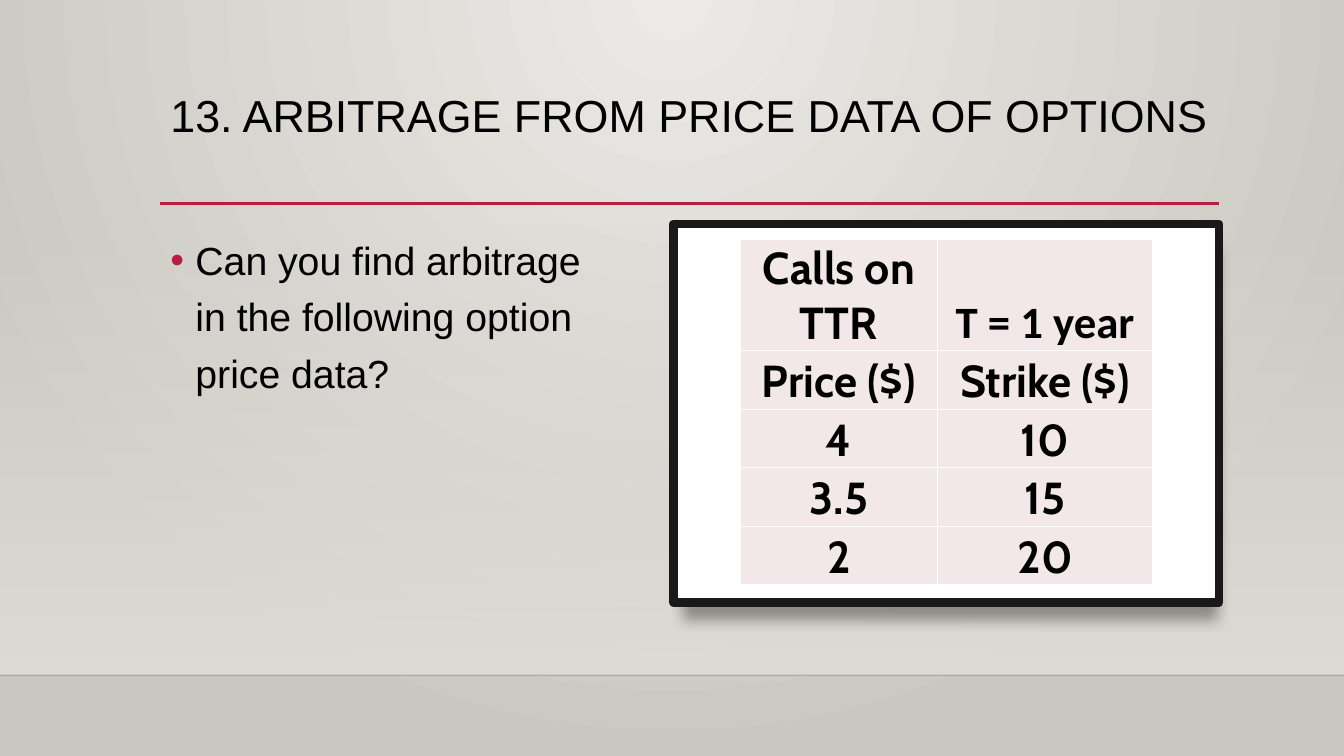
from lxml import etree
from pptx import Presentation
from pptx.dml.color import RGBColor
from pptx.enum import shapes, text
from pptx.oxml import ns
from pptx.util import Inches, Pt

BLACK = RGBColor(0x00, 0x00, 0x00)
WHITE = RGBColor(0xFF, 0xFF, 0xFF)
CRIMSON = RGBColor(0xB7, 0x1E, 0x42)
CHARCOAL = RGBColor(0x19, 0x19, 0x19)
PINK = RGBColor(0xF3, 0xE8, 0xE9)
SAND = RGBColor(0xDF, 0xDB, 0xD5)
LIGHT_STONE = RGBColor(0xEC, 0xEA, 0xE7)
DARK_STONE = RGBColor(0xCA, 0xC7, 0xC1)

OPTION_ROWS = [
    ("Calls on TTR", "T = 1 year"),
    ("Price ($)", "Strike ($)"),
    ("4", "10"),
    ("3.5", "15"),
    ("2", "20"),
]
COLUMN_WIDTHS = (1.96, 2.13)
ROW_HEIGHTS = (1.1, 0.58, 0.58, 0.58, 0.58)


def add_xml(parent, tag, **attributes):
    values = {name: str(value) for name, value in attributes.items()}
    return etree.SubElement(parent, ns.qn(tag), values)


def set_opacity(color_parent, percent):
    color = next(color_parent.iter(ns.qn("a:srgbClr")))
    add_xml(color, "a:alpha", val=percent * 1000)


def set_gradient(fill, start, end, angle=0):
    fill.gradient()
    fill.gradient_angle = angle
    for stop, color in zip(fill.gradient_stops, (start, end)):
        stop.color.rgb = color


def write_text(frame, content, font="Arial", size=32, bold=False,
               align=text.PP_ALIGN.LEFT, spacing=1.0, before=0):
    frame.word_wrap = True
    paragraph = frame.paragraphs[0]
    paragraph.alignment = align
    paragraph.line_spacing = spacing
    paragraph.space_before = Pt(before)
    run = paragraph.add_run()
    run.text = content
    run.font.name = font
    run.font.size = Pt(size)
    run.font.bold = bold
    run.font.color.rgb = BLACK
    return paragraph


def add_rectangle(slide, left, top, width, height):
    shape = slide.shapes.add_shape(
        shapes.MSO_SHAPE.RECTANGLE,
        Inches(left), Inches(top), Inches(width), Inches(height))
    shape.shadow.inherit = False
    shape.line.fill.background()
    return shape


def add_rule(slide, left, top, width, color, weight):
    rule = slide.shapes.add_connector(
        shapes.MSO_CONNECTOR.STRAIGHT,
        Inches(left), Inches(top), Inches(left + width), Inches(top))
    rule.line.color.rgb = color
    rule.line.width = Pt(weight)
    add_xml(rule._element.spPr, "a:effectLst")
    return rule


def add_backdrop(slide, width, wall_top, floor_top):
    set_gradient(slide.background.fill, LIGHT_STONE, DARK_STONE)
    gradient = next(slide.element.iter(ns.qn("a:gradFill")))
    gradient.remove(gradient.find(ns.qn("a:lin")))
    circle = add_xml(gradient, "a:path", path="circle")
    add_xml(circle, "a:fillToRect", l=43000, t=0, r=43000, b=100000)

    wall = add_rectangle(slide, 0, wall_top, width, floor_top - wall_top)
    set_gradient(wall.fill, SAND, SAND, angle=270)
    set_opacity(wall._element.spPr, 0)

    edge = add_rule(slide, 0, floor_top, width, BLACK, 1)
    set_opacity(edge._element.spPr, 20)


def add_title(slide, left, top, width, height):
    title = slide.shapes.title
    title.left, title.top = Inches(left), Inches(top)
    title.width, title.height = Inches(width), Inches(height)
    frame = title.text_frame
    frame.vertical_anchor = text.MSO_ANCHOR.TOP
    frame.auto_size = text.MSO_AUTO_SIZE.NONE
    write_text(frame, "13. ARBITRAGE FROM PRICE DATA OF OPTIONS", spacing=0.9)
    add_rule(slide, left, top + height - 0.01, width, CRIMSON, 2.5)


def add_question(slide, left, top, width, height):
    box = slide.shapes.add_textbox(
        Inches(left), Inches(top), Inches(width), Inches(height))
    paragraph = write_text(
        box.text_frame,
        "Can you find arbitrage in the following option price data?",
        size=28, spacing=1.2, before=10)
    properties = paragraph._p.get_or_add_pPr()
    properties.set("marL", str(Inches(0.25)))
    properties.set("indent", str(-Inches(0.25)))
    bullet_color = add_xml(properties, "a:buClr")
    add_xml(bullet_color, "a:srgbClr", val=CRIMSON)
    add_xml(properties, "a:buFont", typeface="Arial")
    add_xml(properties, "a:buChar", char="•")


def add_frame(slide, left, top, width, height):
    back = add_rectangle(slide, left, top, width, height)
    set_gradient(back.fill, BLACK, CHARCOAL)
    effects = back._element.spPr.find(ns.qn("a:effectLst"))
    shadow = add_xml(effects, "a:outerShdw", blurRad=Pt(10), dist=Pt(15),
                     dir=79 * 60000, sx=98000, sy=98000, algn="ctr",
                     rotWithShape=0)
    add_xml(shadow, "a:srgbClr", val=BLACK)
    set_opacity(shadow, 34)

    panel = add_rectangle(slide, left, top + 0.02, width, height - 0.02)
    panel.fill.solid()
    panel.fill.fore_color.rgb = WHITE
    panel.line.color.rgb = CHARCOAL
    panel.line.width = Pt(6)
    add_price_table(slide, left + 0.66, top + 0.18)


def format_cell(cell, content):
    cell.margin_left = cell.margin_right = cell.margin_top = Inches(0.01)
    cell.margin_bottom = 0
    cell.vertical_anchor = text.MSO_ANCHOR.BOTTOM
    font = "Calibri" if content == "T = 1 year" else "Cabin"
    write_text(cell.text_frame, content, font=font, bold=True,
               align=text.PP_ALIGN.CENTER)
    properties = cell._tc.get_or_add_tcPr()
    for side in "LRTB":
        border = add_xml(properties, f"a:ln{side}", w=Pt(1))
        border_fill = add_xml(border, "a:solidFill")
        add_xml(border_fill, "a:srgbClr", val=WHITE)
    cell.fill.solid()
    cell.fill.fore_color.rgb = PINK


def add_price_table(slide, left, top):
    table = slide.shapes.add_table(
        len(ROW_HEIGHTS), len(COLUMN_WIDTHS), Inches(left), Inches(top),
        Inches(sum(COLUMN_WIDTHS)), Inches(sum(ROW_HEIGHTS))).table
    for column, width in zip(table.columns, COLUMN_WIDTHS):
        column.width = Inches(width)
    for row, height, contents in zip(table.rows, ROW_HEIGHTS, OPTION_ROWS):
        row.height = Inches(height)
        for cell, content in zip(row.cells, contents):
            format_cell(cell, content)


def main():
    presentation = Presentation()
    presentation.slide_width = Inches(13.33)
    presentation.slide_height = Inches(7.5)
    slide = presentation.slides.add_slide(presentation.slide_layouts[5])
    add_backdrop(slide, 13.33, 2.21, 6.7)
    add_title(slide, 1.59, 0.88, 10.5, 1.15)
    add_question(slide, 1.59, 2.2, 4.55, 3.77)
    add_frame(slide, 6.68, 2.2, 5.41, 3.78)
    presentation.save("out.pptx")


if __name__ == "__main__":
    main()
